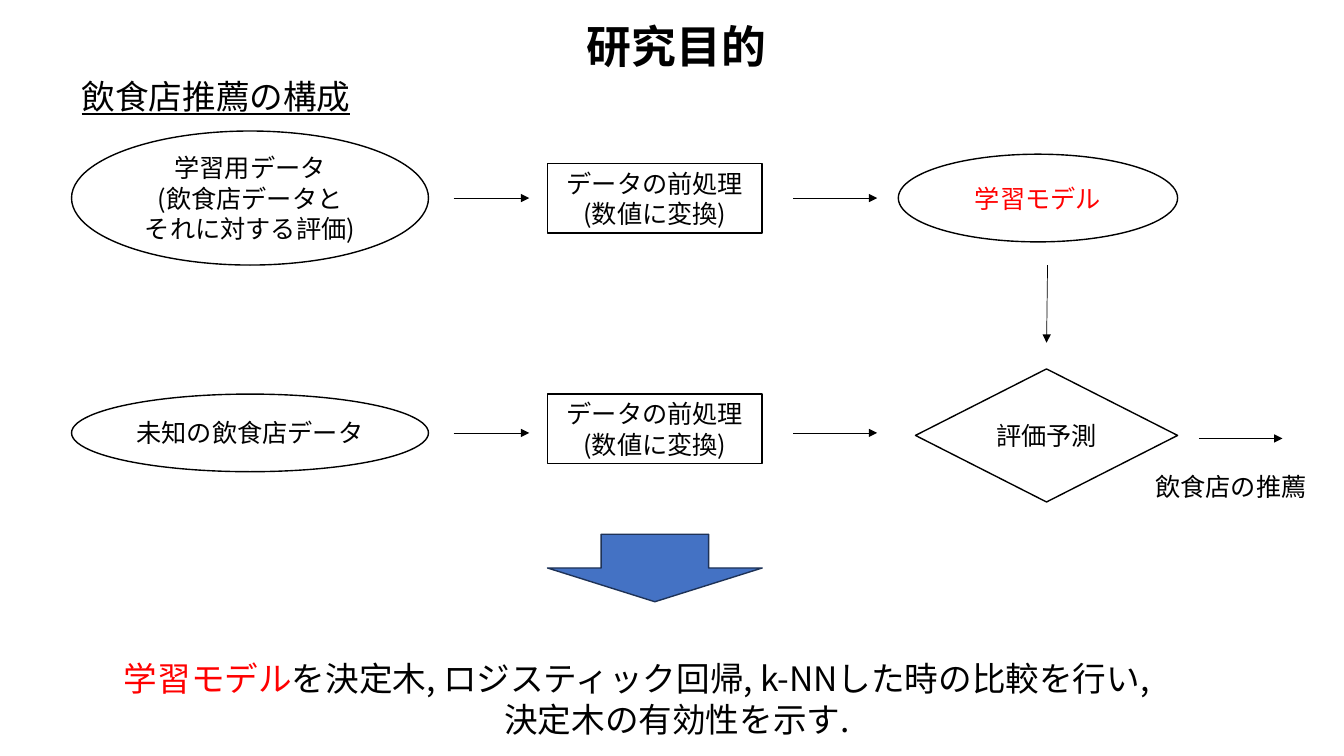
from lxml import etree
from pptx import Presentation
from pptx.dml.color import RGBColor
from pptx.enum.shapes import MSO_CONNECTOR, MSO_SHAPE
from pptx.enum.text import MSO_ANCHOR, PP_ALIGN
from pptx.oxml.ns import qn
from pptx.util import Inches, Pt

OVAL = MSO_SHAPE.OVAL
RECTANGLE = MSO_SHAPE.RECTANGLE
DECISION = MSO_SHAPE.FLOWCHART_DECISION
RIGHT_ARROW = MSO_SHAPE.RIGHT_ARROW
STRAIGHT = MSO_CONNECTOR.STRAIGHT
MIDDLE = MSO_ANCHOR.MIDDLE
LEFT, CENTER = PP_ALIGN.LEFT, PP_ALIGN.CENTER

FONT = "Noto Sans CJK JP"
BLACK, RED, WHITE = "000000", "FF0000", "FFFFFF"
BLUE, NAVY = "4472C4", "1E3256"
INPUT_LEFT, INPUT_WIDTH = 0.71, 3.54
PREP_LEFT, PREP_WIDTH, PREP_HEIGHT = 5.43, 2.13, 0.69
PREP_LINES = ["データの前処理", "(数値に変換)"]


def color(hex_code):
    return RGBColor.from_string(hex_code)


def add_run(paragraph, text, size, hex_code=BLACK, bold=False, underline=False):
    run = paragraph.add_run()
    run.text = text
    font = run.font
    font.size = Pt(size)
    font.bold = bold
    font.underline = underline
    font.color.rgb = color(hex_code)
    font.name = FONT
    east_asian = etree.SubElement(run._r.get_or_add_rPr(), qn("a:ea"))
    east_asian.set("typeface", FONT)


def write_lines(frame, lines, size, align, hex_code=BLACK):
    frame.word_wrap = True
    for index, line in enumerate(lines):
        paragraph = frame.paragraphs[0] if index == 0 else frame.add_paragraph()
        paragraph.alignment = align
        add_run(paragraph, line, size, hex_code)


def add_block(slide, kind, box, fill=WHITE, outline=BLACK):
    block = slide.shapes.add_shape(kind, *map(Inches, box))
    block.shadow.inherit = False
    block.fill.solid()
    block.fill.fore_color.rgb = color(fill)
    block.line.color.rgb = color(outline)
    block.line.width = Pt(1)
    return block


def add_step(slide, kind, box, lines, hex_code=BLACK):
    step = add_block(slide, kind, box)
    step.text_frame.vertical_anchor = MIDDLE
    write_lines(step.text_frame, lines, 18, CENTER, hex_code)


def add_flow(slide, x1, y1, x2, y2):
    flow = slide.shapes.add_connector(STRAIGHT, *map(Inches, (x1, y1, x2, y2)))
    flow.line.color.rgb = color(BLACK)
    flow.line.width = Pt(0.5)
    etree.SubElement(flow.line._get_or_add_ln(), qn("a:tailEnd")).set("type", "triangle")
    etree.SubElement(flow._element.spPr, qn("a:effectLst"))


def place_heading(placeholder, box, text, size, align, **style):
    placeholder.left, placeholder.top, placeholder.width, placeholder.height = map(Inches, box)
    frame = placeholder.text_frame
    frame.word_wrap = True
    frame.vertical_anchor = MIDDLE
    paragraph = frame.paragraphs[0]
    paragraph.alignment = align
    paragraph.space_before = Pt(0)
    add_run(paragraph, text, size, **style)
    properties = paragraph._p.get_or_add_pPr()
    properties.set("marL", "0")
    properties.set("indent", "0")
    etree.SubElement(properties, qn("a:buNone"))


def build_headings(slide, left, top, width):
    place_heading(slide.shapes.title, (left, top, width, 0.5), "研究目的", 32, CENTER, bold=True)
    place_heading(slide.placeholders[1], (left, top + 0.5, width, 0.5),
                  "飲食店推薦の構成", 24, LEFT, underline=True)


def build_lane(slide, input_top, input_height, prep_top, input_lines):
    middle = input_top + input_height / 2
    add_step(slide, OVAL, (INPUT_LEFT, input_top, INPUT_WIDTH, input_height), input_lines)
    add_flow(slide, 4.5, middle, 5.25, middle)
    add_step(slide, RECTANGLE, (PREP_LEFT, prep_top, PREP_WIDTH, PREP_HEIGHT), PREP_LINES)
    add_flow(slide, 7.87, middle, 8.7, middle)


def build_prediction(slide, left, top):
    add_step(slide, OVAL, (left, top, 2.77, 0.87), ["学習モデル"], RED)
    add_flow(slide, left + 1.48, top + 1.1, left + 1.47, top + 1.87)
    add_step(slide, DECISION, (left + 0.17, top + 2.13, 2.6, 1.32), ["評価予測"])
    add_flow(slide, left + 2.98, top + 2.82, left + 3.81, top + 2.82)
    result = slide.shapes.add_textbox(*map(Inches, (left + 2.45, top + 3.1, 1.84, 0.4)))
    write_lines(result.text_frame, ["飲食店の推薦"], 18, LEFT)


def build_conclusion(slide, left, top, width):
    pointer = add_block(slide, RIGHT_ARROW, (6.16, top - 1.91, 0.67, PREP_WIDTH), BLUE, NAVY)
    pointer.rotation = 90
    conclusion = slide.shapes.add_textbox(*map(Inches, (left, top, width, 0.91)))
    frame = conclusion.text_frame
    write_lines(frame, ["学習モデル"], 24, LEFT, RED)
    add_run(frame.paragraphs[0], "を決定木, ロジスティック回帰, k-NNした時の比較を行い,", 24)
    closing = frame.add_paragraph()
    closing.alignment = CENTER
    add_run(closing, "決定木の有効性を示す.", 24)


def main():
    deck = Presentation()
    deck.slide_width, deck.slide_height = Inches(13.33), Inches(7.5)
    slide = deck.slides.add_slide(deck.slide_layouts[1])
    build_headings(slide, 0.71, 0.2, 12)
    build_lane(slide, 1.3, 1.33, 1.62,
               ["学習用データ", "(飲食店データと", "それに対する評価)"])
    build_lane(slide, 3.91, 0.77, 3.91, ["未知の飲食店データ"])
    build_prediction(slide, 8.91, 1.53)
    build_conclusion(slide, 1.13, 6.48, 11.17)
    deck.save("out.pptx")


if __name__ == "__main__":
    main()
